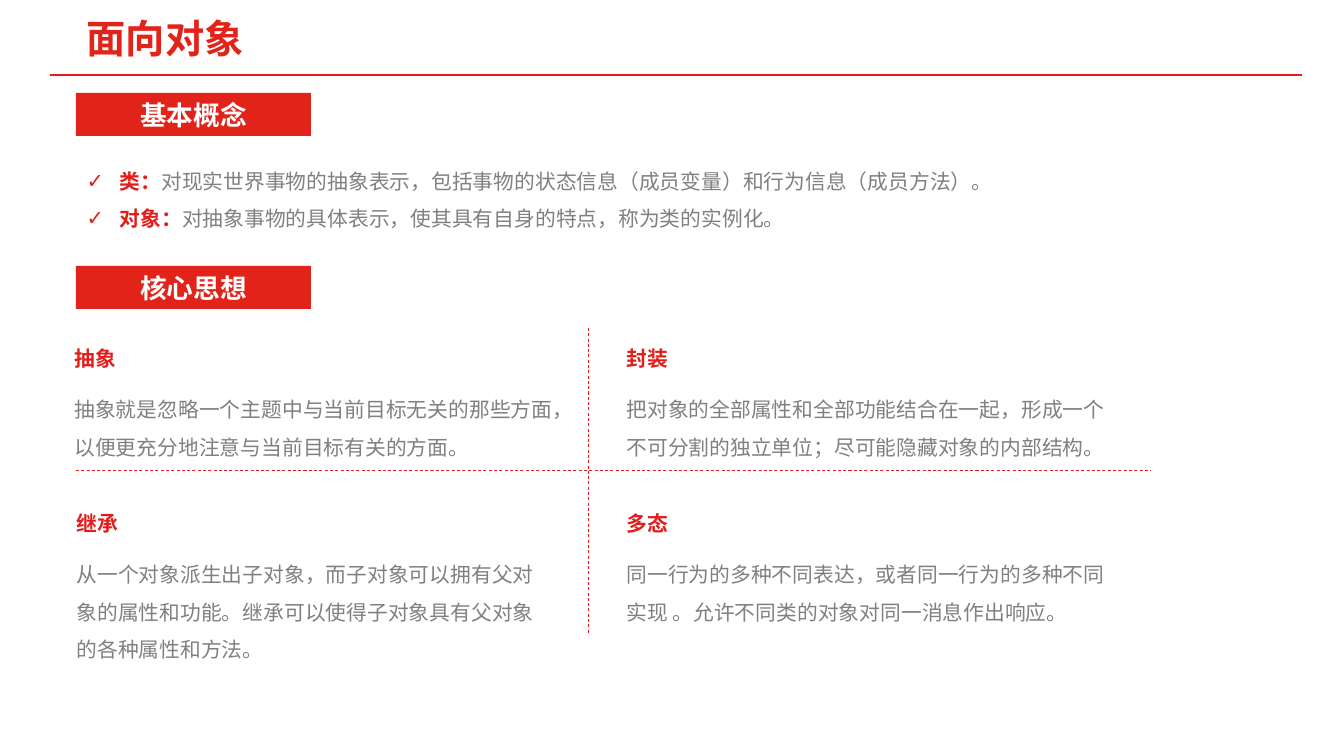
import pptx
import pptx.dml.color
import pptx.enum.dml
import pptx.enum.shapes
import pptx.enum.text
import pptx.oxml.ns
import pptx.util
from lxml import etree

RED = pptx.dml.color.RGBColor(0xE3, 0x1D, 0x1A)
BANNER_RED = pptx.dml.color.RGBColor(0xE2, 0x23, 0x1A)
GRAY = pptx.dml.color.RGBColor(0x80, 0x80, 0x80)
WHITE = pptx.dml.color.RGBColor(0xFF, 0xFF, 0xFF)

ALIGN = pptx.enum.text.PP_ALIGN
ANCHOR = pptx.enum.text.MSO_ANCHOR
qn = pptx.oxml.ns.qn

CONCEPTS = [
    ("类：", "对现实世界事物的抽象表示，包括事物的状态信息（成员变量）和行为信息（成员方法）。"),
    ("对象：", "对抽象事物的具体表示，使其具有自身的特点，称为类的实例化。"),
]
# left, top, width, height, heading, explanation
IDEAS = [
    (64, 328, 525, 138, "抽象",
     "抽象就是忽略一个主题中与当前目标无关的那些方面，以便更充分地注意与当前目标有关的方面。"),
    (616, 328, 518, 138, "封装",
     "把对象的全部属性和全部功能结合在一起，形成一个不可分割的独立单位；尽可能隐藏对象的内部结构。"),
    (66, 493, 491, 175, "继承",
     "从一个对象派生出子对象，而子对象可以拥有父对象的属性和功能。继承可以使得子对象具有父对象的各种属性和方法。"),
    (616, 493, 501, 138, "多态",
     "同一行为的多种不同表达，或者同一行为的多种不同实现 。允许不同类的对象对同一消息作出响应。"),
]


def px(length):
    return pptx.util.Emu(round(length * 8572.5))


class SlideWriter:
    font = "Noto Sans CJK SC"
    text_size = 14
    line_spacing = 1.5

    def __init__(self, page):
        self.page = page

    def place(self, box, left, top, width, height):
        box.left, box.top = px(left), px(top)
        box.width, box.height = px(width), px(height)

    def prepare(self, box, anchor):
        frame = box.text_frame
        frame.word_wrap = True
        frame.auto_size = pptx.enum.text.MSO_AUTO_SIZE.NONE
        frame.vertical_anchor = anchor
        return frame

    def paragraph(self, frame, index, spacing, before=0, align=ALIGN.LEFT):
        para = frame.add_paragraph() if index else frame.paragraphs[0]
        para.alignment = align
        para.line_spacing = spacing
        para.space_before = pptx.util.Pt(before)
        return para

    def span(self, para, text, color, size=text_size, bold=False):
        span = para.add_run()
        span.text = text
        span.font.size = pptx.util.Pt(size)
        span.font.bold = bold
        span.font.color.rgb = color
        span.font.name = self.font
        properties = span.font._element
        etree.SubElement(properties, qn("a:ea")).set("typeface", self.font)

    def check_bullet(self, para):
        properties = para._p.get_or_add_pPr()
        properties.set("marL", str(px(33)))
        properties.set("indent", str(-px(33)))
        etree.SubElement(properties, qn("a:buChar")).set("char", "✓")

    def title(self, text):
        box = self.page.shapes.title
        self.place(box, 76, 17, 378, 50)
        frame = self.prepare(box, ANCHOR.MIDDLE)
        para = self.paragraph(frame, 0, 0.8)
        self.span(para, text, BANNER_RED, 26.5, True)

    def checklist(self, entries):
        box = self.page.placeholders[1]
        self.place(box, 76, 151, 1075, 86)
        frame = self.prepare(box, ANCHOR.TOP)
        for index, (term, meaning) in enumerate(entries):
            para = self.paragraph(frame, index, self.line_spacing)
            self.check_bullet(para)
            self.span(para, term, RED, bold=True)
            self.span(para, meaning, GRAY)

    def banner(self, top, text):
        box = self.page.shapes.add_shape(
            pptx.enum.shapes.MSO_SHAPE.RECTANGLE, px(76), px(top), px(235), px(43))
        box.shadow.inherit = False
        box.fill.solid()
        box.fill.fore_color.rgb = BANNER_RED
        box.line.fill.background()
        frame = self.prepare(box, ANCHOR.MIDDLE)
        para = self.paragraph(frame, 0, 1.0, align=ALIGN.CENTER)
        self.span(para, text, WHITE, 18, True)

    def idea(self, left, top, width, height, heading, explanation):
        box = self.page.shapes.add_textbox(px(left), px(top), px(width), px(height))
        frame = self.prepare(box, ANCHOR.TOP)
        para = self.paragraph(frame, 0, self.line_spacing)
        self.span(para, heading, RED, bold=True)
        para = self.paragraph(frame, 1, self.line_spacing, 9.4)
        self.span(para, explanation, GRAY)

    def rule(self, x1, y1, x2, y2, weight, dashed=False):
        line = self.page.shapes.add_connector(
            pptx.enum.shapes.MSO_CONNECTOR.STRAIGHT, px(x1), px(y1), px(x2), px(y2))
        line.line.color.rgb = RED
        line.line.width = pptx.util.Pt(weight)
        if dashed:
            line.line.dash_style = pptx.enum.dml.MSO_LINE.DASH
        etree.SubElement(line._element.spPr, qn("a:effectLst"))


def main():
    deck = pptx.Presentation()
    deck.slide_width, deck.slide_height = px(1344), px(756)
    writer = SlideWriter(deck.slides.add_slide(deck.slide_layouts[1]))

    writer.rule(50, 75, 1302, 75, 1.5)
    writer.title("面向对象")
    writer.banner(93, "基本概念")
    writer.checklist(CONCEPTS)
    writer.banner(266, "核心思想")
    for idea in IDEAS:
        writer.idea(*idea)
    writer.rule(76, 470, 1151, 470, 0.5, dashed=True)
    writer.rule(588, 328, 588, 634, 0.5, dashed=True)

    deck.save("out.pptx")


if __name__ == "__main__":
    main()
